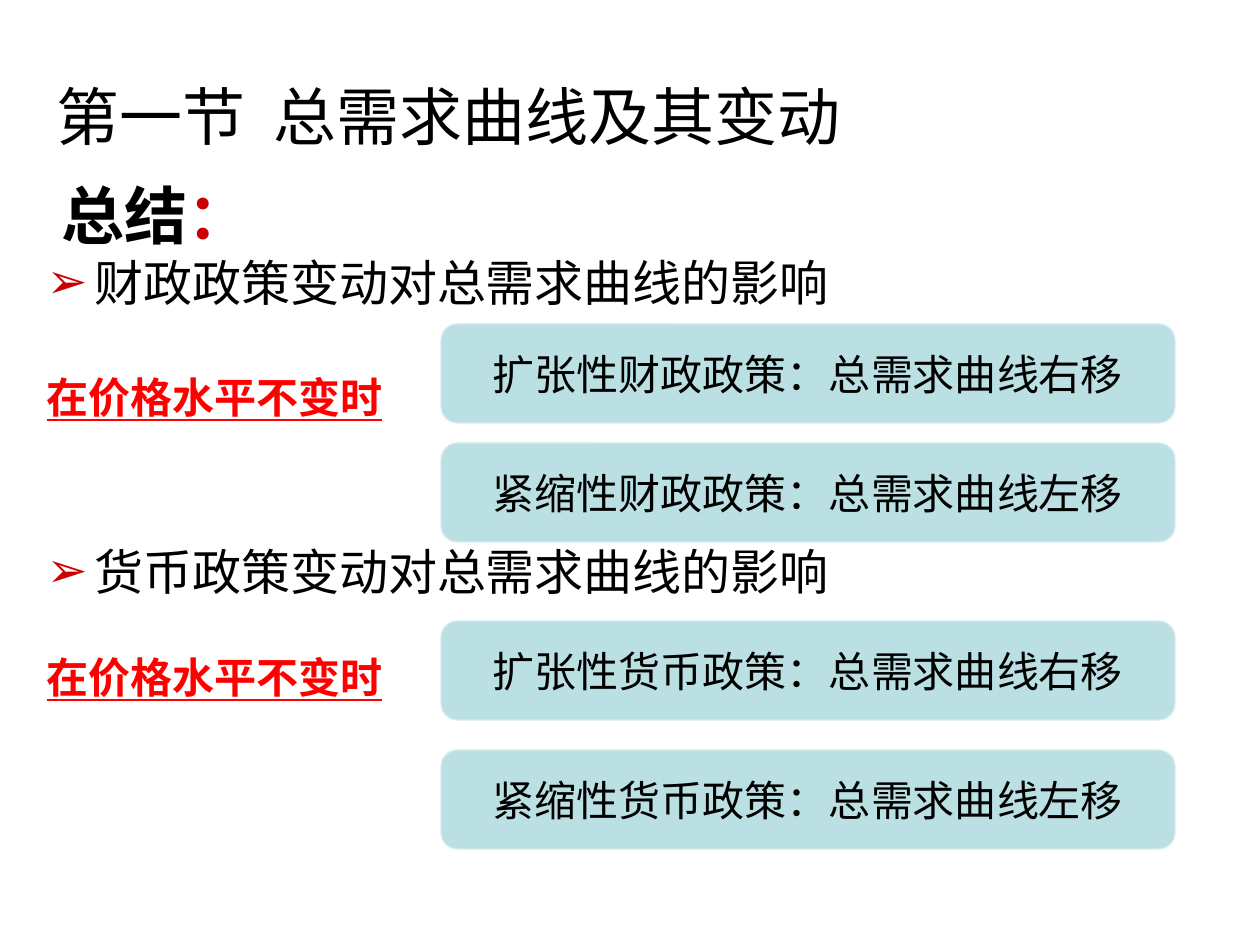
from lxml import etree
from pptx import Presentation
from pptx import util as u
from pptx.dml.color import RGBColor
from pptx.enum import shapes, text
from pptx.oxml import ns

SCALE = 914400 / 126  # EMU per px
BLACK = RGBColor(0, 0, 0)
RED = RGBColor(0xFF, 0, 0)
DARK_RED = RGBColor(0xCC, 0, 0)
TEAL = RGBColor(0xBB, 0xE0, 0xE3)
PALE_TEAL = RGBColor(0xD6, 0xEC, 0xEE)
LATIN, CJK = "Arial", "Noto Sans CJK SC"

HEADING = {"size": u.Pt(36), "bold": True}
TOPIC = {"size": u.Pt(28), "bold": False}
CONDITION = {"size": u.Pt(24), "bold": True, "underline": True}


def px(n):
    return u.Emu(round(n * SCALE))


def place(s, left, top, width, height):
    s.left, s.top, s.width, s.height = map(px, (left, top, width, height))


def add_run(p, words, color, fmt, name=LATIN):
    r = p.add_run()
    r.text = words
    for key, value in {"name": name, **fmt}.items():
        setattr(r.font, key, value)
    r.font.color.rgb = color
    etree.SubElement(r._r.get_or_add_rPr(), ns.qn("a:ea"), typeface=CJK)


def set_bullet(p, char=None, indent=0, hang=0):
    pPr = p._p.get_or_add_pPr()
    pPr.set("marL", str(px(indent)))
    pPr.set("indent", str(px(-hang)))
    if char is None:
        etree.SubElement(pPr, ns.qn("a:buNone"))
        return
    color = etree.SubElement(pPr, ns.qn("a:buClr"))
    etree.SubElement(color, ns.qn("a:srgbClr"), val=str(DARK_RED))
    etree.SubElement(pPr, ns.qn("a:buFont"), typeface=LATIN)
    etree.SubElement(pPr, ns.qn("a:buChar"), char=char)


def add_title(slide, words):
    s = slide.shapes.title
    place(s, 44, 56, 1134, 118)
    tf = s.text_frame
    tf.auto_size = text.MSO_AUTO_SIZE.NONE
    tf.vertical_anchor = text.MSO_ANCHOR.MIDDLE
    p = tf.paragraphs[0]
    p.alignment = text.PP_ALIGN.LEFT
    add_run(p, words, BLACK, {"size": u.Pt(36)}, CJK)


def add_body(slide, lines):
    s = slide.placeholders[1]
    place(s, 34, 185, 1134, 687)
    tf = s.text_frame
    tf.auto_size = text.MSO_AUTO_SIZE.NONE
    for i, (runs, fmt, before, bullet) in enumerate(lines):
        p = tf.add_paragraph() if i else tf.paragraphs[0]
        set_bullet(p, **bullet)
        p.line_spacing = 0.8
        p.space_before = u.Pt(before)
        for words, color in runs:
            add_run(p, words, color, fmt)


def add_box(slide, top, words):
    s = slide.shapes.add_shape(shapes.MSO_SHAPE.ROUNDED_RECTANGLE,
                               px(441), px(top), px(734), px(99))
    s.shadow.inherit = False
    s.fill.solid()
    s.fill.fore_color.rgb = TEAL
    s.line.color.rgb = PALE_TEAL
    s.line.width = u.Pt(0.75)
    tf = s.text_frame
    tf.word_wrap = False
    tf.vertical_anchor = text.MSO_ANCHOR.MIDDLE
    p = tf.paragraphs[0]
    p.alignment = text.PP_ALIGN.CENTER
    add_run(p, words, BLACK, {"size": u.Pt(24)})


def main():
    prs = Presentation()
    prs.slide_width, prs.slide_height = u.Inches(10), u.Inches(7.5)
    slide = prs.slides.add_slide(prs.slide_layouts[1])
    add_title(slide, "第一节  总需求曲线及其变动")

    # Summary: each policy topic, then the condition it holds under
    arrow = {"char": "➢", "indent": 48, "hang": 48}
    condition = [("在价格水平不变时", RED)]
    add_body(slide, [
        ([("总结", BLACK), ("：", DARK_RED)], HEADING, 0, {"indent": 15}),
        ([("财政政策变动对总需求曲线的影响", BLACK)], TOPIC, 7, arrow),
        (condition, CONDITION, 40, {}),
        ([("货币政策变动对总需求曲线的影响", BLACK)], TOPIC, 75, arrow),
        (condition, CONDITION, 35, {}),
    ])

    # Effect of each policy on the demand curve
    for policy, tops in (("财政", (324, 443)), ("货币", (621, 750))):
        for top, kind, way in zip(tops, ("扩张", "紧缩"), ("右", "左")):
            add_box(slide, top, f"{kind}性{policy}政策：总需求曲线{way}移")

    prs.save("out.pptx")


if __name__ == "__main__":
    main()
